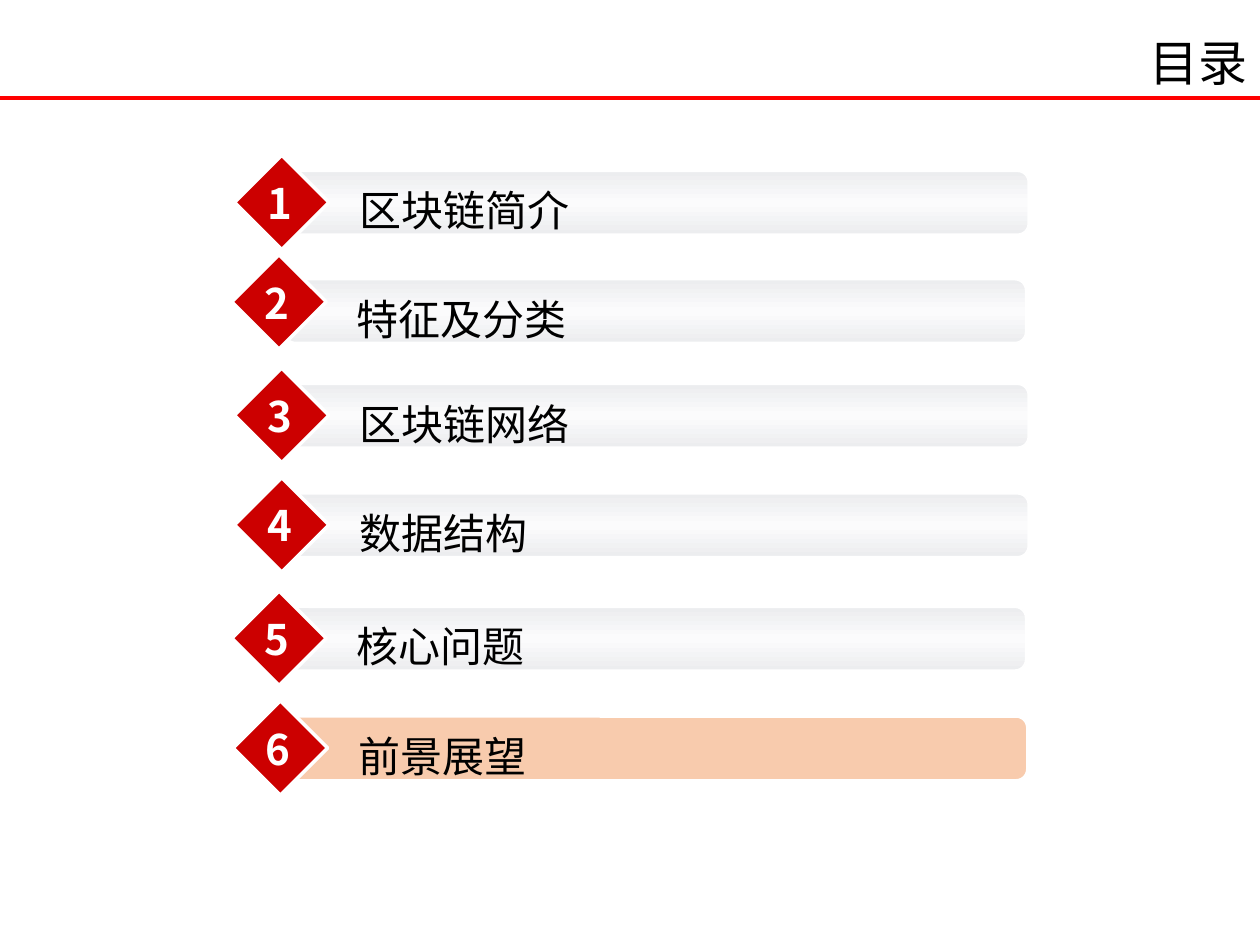
from copy import deepcopy
from dataclasses import dataclass

from pptx import Presentation
from pptx.dml.color import RGBColor
from pptx.enum.shapes import MSO_CONNECTOR, MSO_SHAPE
from pptx.enum.text import MSO_ANCHOR, MSO_AUTO_SIZE, PP_ALIGN
from pptx.oxml.ns import qn
from pptx.util import Pt
from lxml.etree import SubElement


@dataclass(frozen=True)
class Theme:
    font: str = "Noto Sans CJK SC"
    ink: str = "000000"
    white: str = "FFFFFF"
    rule: str = "FF0000"
    badge: str = "CC0000"
    edge: str = "ECEDEF"
    mid: str = "FBFBFC"
    accent: str = "F8CBAD"
    head: int = 28
    body: int = 24


@dataclass(frozen=True)
class Item:
    label: str
    left: float
    top: float
    lift: float = 0  # extra rise of the badge above the bar
    active: bool = False


THEME = Theme()
ITEMS = [
    Item("区块链简介", 164.2, 97.9),
    Item("特征及分类", 162.7, 159.8, lift=5),
    Item("区块链网络", 164.2, 219.6),
    Item("数据结构", 164.2, 282.2),
    Item("核心问题", 162.7, 347),
    Item("前景展望", 163.4, 409.7, active=True),
]


def rgb(code: str) -> RGBColor:
    return RGBColor.from_string(code)


def place(shape, left: float, top: float, wide: float, high: float) -> None:
    shape.left, shape.top = Pt(left), Pt(top)
    shape.width, shape.height = Pt(wide), Pt(high)


def write(shape, text: str, size: int, color: str, align=PP_ALIGN.LEFT,
          bold: bool = False, inset: float = 7.2) -> None:
    frame = shape.text_frame
    frame.word_wrap = True
    frame.auto_size = MSO_AUTO_SIZE.SHAPE_TO_FIT_TEXT
    frame.vertical_anchor = MSO_ANCHOR.TOP
    frame.margin_left = Pt(inset)
    para = frame.paragraphs[0]
    para.alignment = align
    run = para.add_run()
    run.text = text
    font = run.font
    font.size, font.bold, font.name = Pt(size), bold, THEME.font
    font.color.rgb = rgb(color)
    SubElement(font._element, qn("a:ea"), typeface=THEME.font)


def shade(shape) -> None:
    """Fill from edge to middle tone and back, top to bottom."""
    shape.fill.gradient()
    shape.fill.gradient_angle = 90
    for stop, tone in zip(shape.fill.gradient_stops, (THEME.edge, THEME.mid)):
        stop.color.rgb = rgb(tone)
    stops = shape._element.xpath(".//a:gsLst")[0]
    stops.append(deepcopy(stops[0]))
    for stop, pos in zip(stops, (0, 50000, 100000)):
        stop.set("pos", str(pos))


def block(slide, kind, left: float, top: float, wide: float, high: float,
          border: float):
    shape = slide.shapes.add_shape(kind, Pt(left), Pt(top), Pt(wide), Pt(high))
    shape.shadow.inherit = False
    shape.line.color.rgb = rgb(THEME.white)
    shape.line.width = Pt(border)
    return shape


def note(slide, left: float, top: float, wide: float):
    return slide.shapes.add_textbox(Pt(left), Pt(top), Pt(wide), Pt(36))


def entry(slide, num: int, item: Item) -> None:
    left, top = item.left, item.top
    # Bar
    bar = block(slide, MSO_SHAPE.ROUNDED_RECTANGLE, left, top, 423.4, 36, 1)
    bar.adjustments[0] = 0.17
    if item.active:
        bar.fill.solid()
        bar.fill.fore_color.rgb = rgb(THEME.accent)
    else:
        shade(bar)
    # Badge
    gem = block(slide, MSO_SHAPE.DIAMOND, left - 30.2, top - 9.3 - item.lift,
                54, 54, 2)
    gem.fill.solid()
    gem.fill.fore_color.rgb = rgb(THEME.badge)
    # Label and number
    write(note(slide, left + 18, top + 4.3, 380), item.label, THEME.body,
          THEME.ink, inset=23.3)
    write(note(slide, left - 18.5, top - item.lift, 28), str(num), THEME.body,
          THEME.white, PP_ALIGN.CENTER, bold=True)


def main() -> None:
    deck = Presentation()
    deck.slide_width, deck.slide_height = Pt(720), Pt(540)
    slide = deck.slides.add_slide(deck.slide_layouts[5])

    # Heading with rule
    title = slide.shapes.title
    place(title, 326, 15.1, 394, 41)
    write(title, "目录", THEME.head, THEME.ink, PP_ALIGN.RIGHT)
    rule = slide.shapes.add_connector(MSO_CONNECTOR.STRAIGHT, Pt(0), Pt(56),
                                      Pt(720), Pt(56))
    rule.line.color.rgb = rgb(THEME.rule)
    rule.line.width = Pt(2.25)
    SubElement(rule._element.spPr, qn("a:effectLst"))

    # Contents
    for num, item in enumerate(ITEMS, 1):
        entry(slide, num, item)

    deck.save("out.pptx")


if __name__ == "__main__":
    main()
